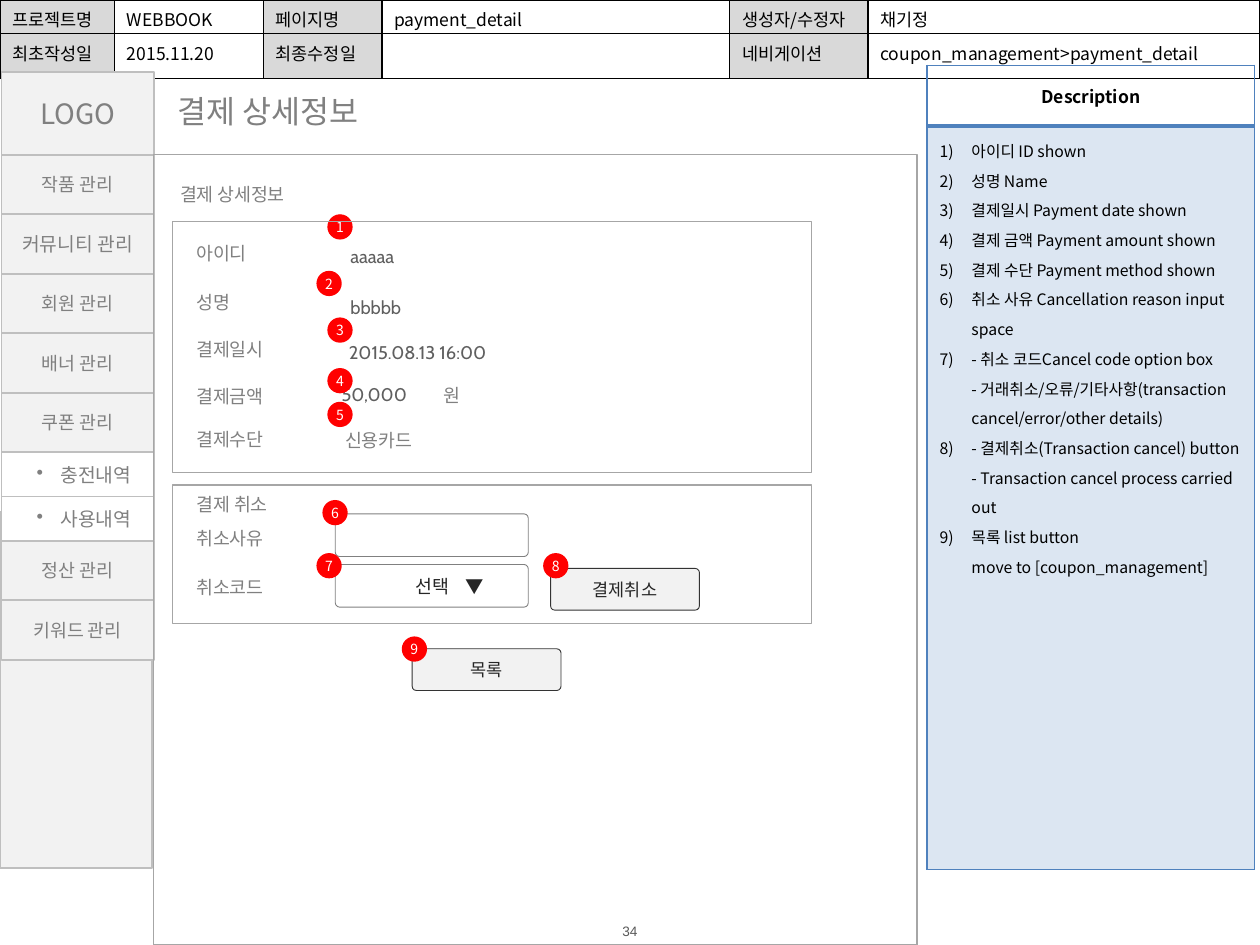
from collections import namedtuple
from lxml import etree
from pptx import Presentation
from pptx.dml.color import RGBColor
from pptx.enum.shapes import MSO_SHAPE
from pptx.enum.text import MSO_ANCHOR, PP_ALIGN
from pptx.oxml.ns import qn
from pptx.util import Cm, Pt

WHITE = RGBColor(0xFF, 0xFF, 0xFF)
BLACK = RGBColor(0x00, 0x00, 0x00)
RED = RGBColor(0xFF, 0x00, 0x00)
BLUE = RGBColor(0x4F, 0x81, 0xBD)
PALE_BLUE = RGBColor(0xDC, 0xE6, 0xF2)
HEADER_GRAY = RGBColor(0xD9, 0xD9, 0xD9)
PALE_GRAY = RGBColor(0xF2, 0xF2, 0xF2)
MENU_LINE = RGBColor(0xBF, 0xBF, 0xBF)
FRAME_LINE = RGBColor(0xA6, 0xA6, 0xA6)
LABEL_GRAY = RGBColor(0x80, 0x80, 0x80)
VALUE_GRAY = RGBColor(0x5F, 0x5F, 0x5F)
PAGE_GRAY = RGBColor(0x59, 0x59, 0x59)
DARK = RGBColor(0x26, 0x26, 0x26)
BUTTON_LINE = RGBColor(0x33, 0x33, 0x33)
SANS = "Noto Sans CJK KR"

Box = namedtuple("Box", "left top width height")

HEADER_ROWS = [
    ["프로젝트명", "WEBBOOK", "페이지명", "payment_detail", "생성자/수정자", "채기정"],
    ["최초작성일", "2015.11.20", "최종수정일", "", "네비게이션", "coupon_management>payment_detail"],
]
DESCRIPTIONS = [
    "아이디 ID shown",
    "성명 Name",
    "결제일시 Payment date shown",
    "결제 금액 Payment amount shown",
    "결제 수단 Payment method shown",
    "취소 사유 Cancellation reason input space",
    "- 취소 코드Cancel code option box\n"
    "- 거래취소/오류/기타사항(transaction cancel/error/other details)",
    "- 결제취소(Transaction cancel) button\n- Transaction cancel process carried out",
    "목록 list button\nmove to [coupon_management]",
]


def within(box, left, top, width, height):
    """Return a box given by its offset inside another box."""
    return Box(box.left + left, box.top + top, width, height)


def write(frame, text, size, color, align=PP_ALIGN.LEFT, font=SANS, bold=False):
    """Put text in a frame and format every run."""
    frame.text = text
    for para in frame.paragraphs:
        para.alignment = align
        for span in para.runs:
            span.font.size = Pt(size)
            span.font.name = font
            span.font.bold = bold
            span.font.color.rgb = color
            etree.SubElement(span.font._element, qn("a:ea"), typeface=SANS)


def add_block(slide, box, kind=MSO_SHAPE.RECTANGLE, fill=None, line=None, weight=1):
    """Add a preset shape with a plain fill and outline."""
    block = slide.shapes.add_shape(kind, *map(Cm, box))
    block.shadow.inherit = False
    if fill is None:
        block.fill.background()
    else:
        block.fill.solid()
        block.fill.fore_color.rgb = fill
    if line is None:
        block.line.fill.background()
    else:
        block.line.color.rgb = line
        block.line.width = Pt(weight)
    block.text_frame.vertical_anchor = MSO_ANCHOR.MIDDLE
    return block


def add_label(slide, box, text, size=10.5, color=LABEL_GRAY, wrap=True, **style):
    """Add a text box centred vertically in its box."""
    frame = slide.shapes.add_textbox(*map(Cm, box)).text_frame
    frame.word_wrap = wrap
    frame.vertical_anchor = MSO_ANCHOR.MIDDLE
    write(frame, text, size, color, **style)
    return frame


def set_margins(frame, left, top, right, bottom):
    """Set the four text margins of a frame or cell."""
    frame.margin_left, frame.margin_top = Cm(left), Cm(top)
    frame.margin_right, frame.margin_bottom = Cm(right), Cm(bottom)


def add_marker(slide, box, number, left, top):
    """Add a numbered red dot."""
    dot = add_block(slide, within(box, left, top, 0.51, 0.51), MSO_SHAPE.OVAL, RED)
    set_margins(dot.text_frame, 0, 0, 0, 0)
    write(dot.text_frame, str(number), 8, WHITE, PP_ALIGN.CENTER)


def add_field(slide, box, fill=WHITE, line=None):
    """Add a slightly rounded field."""
    field = add_block(slide, box, MSO_SHAPE.ROUNDED_RECTANGLE, fill, line, 0.5)
    field.adjustments[0] = 0.1
    return field


def add_button(slide, box, text):
    """Add a gray button."""
    button = add_field(slide, box, PALE_GRAY, BUTTON_LINE)
    write(button.text_frame, text, 10, DARK, PP_ALIGN.CENTER, "Calibri")


def add_bullet(para, indent, tag, **attributes):
    """Give a paragraph a hanging indent and a bullet."""
    properties = para._p.get_or_add_pPr()
    properties.set("marL", str(Cm(indent)))
    properties.set("indent", str(-Cm(indent)))
    etree.SubElement(properties, qn(tag), **attributes)


def style_cell(cell, fill, color, weights):
    """Fill a cell and draw its left, right, top and bottom borders."""
    if fill is None:
        cell.fill.background()
    else:
        cell.fill.solid()
        cell.fill.fore_color.rgb = fill
    properties = cell._tc.get_or_add_tcPr()
    for index, (side, weight) in enumerate(zip("LRTB", weights)):
        border = etree.Element(qn(f"a:ln{side}"), w=str(Pt(weight)))
        paint = etree.SubElement(border, qn("a:solidFill"))
        etree.SubElement(paint, qn("a:srgbClr"), val=str(color))
        properties.insert(index, border)


def add_grid(slide, box, widths, heights):
    """Add an unbanded table with given column widths and row heights."""
    table = slide.shapes.add_table(len(heights), len(widths), *map(Cm, box)).table
    table.first_row = table.horz_banding = False
    for column, width in zip(table.columns, widths):
        column.width = Cm(width)
    for row, height in zip(table.rows, heights):
        row.height = Cm(height)
    return table


def draw_header(slide, box):
    """Draw the project table."""
    table = add_grid(slide, box, [2.31, 3, 2.39, 7.01, 2.79, 7.9], [box.height / 2] * 2)
    for row, texts in enumerate(HEADER_ROWS):
        for column, text in enumerate(texts):
            cell = table.cell(row, column)
            style_cell(cell, None if column % 2 else HEADER_GRAY, BLACK, [1] * 4)
            set_margins(cell, 0.25, 0.13, 0.1, 0)
            write(cell.text_frame, text, 10, BLACK)


def draw_sidebar(slide, box):
    """Draw the logo cell and the menu."""
    add_block(slide, Box(0, 10.31, box.width, 7.19), fill=PALE_GRAY, line=MENU_LINE)
    entries = [("LOGO", 16, 1.67)]
    entries += [(f"{name} 관리", 11 if name == "커뮤니티" else 10.5, 1.2)
                for name in ("작품", "커뮤니티", "회원", "배너", "쿠폰")]
    entries += [("충전내역", 11, 0.89), ("사용내역", 11, 0.89)]
    entries += [("정산 관리", 10.5, 1.2), ("키워드 관리", 10.5, 1.2)]
    top = 0
    for text, size, height in entries:
        nested = text.endswith("내역")
        block = add_block(slide, within(box, 0, top, box.width, height),
                          fill=WHITE if nested else PALE_GRAY, line=MENU_LINE)
        write(block.text_frame, text, size, LABEL_GRAY,
              PP_ALIGN.LEFT if nested else PP_ALIGN.CENTER)
        if nested:
            set_margins(block.text_frame, 0.71, 0.13, 0.25, 0.13)
            add_bullet(block.text_frame.paragraphs[0], 0.48, "a:buChar", char="•")
        top += height


def draw_payment_info(slide, box):
    """Draw the payment details with their markers."""
    labels = [("아이디", 0.64), ("성명", 1.63), ("결제일시", 2.57), ("결제금액", 3.51), ("결제수단", 4.39)]
    for text, middle in labels:
        add_label(slide, within(box, 0.23, middle - 0.38, 2.4, 0.76), text)
    values = [("aaaaa", 3.28, 0.69, 5.05, PP_ALIGN.LEFT),
              ("bbbbb", 3.28, 1.73, 5.05, PP_ALIGN.LEFT),
              ("2015.08.13 16:00", 1.93, 2.64, 4.7, PP_ALIGN.RIGHT),
              ("50,000", 2.54, 3.48, 2.49, PP_ALIGN.RIGHT)]
    for text, left, middle, width, align in values:
        field = add_field(slide, within(box, left, middle - 0.43, width, 0.86))
        set_margins(field.text_frame, 0.28, 0.18, 0.28, 0.18)
        write(field.text_frame, text, 10.5, VALUE_GRAY, align, "Cabin")
    add_label(slide, within(box, 5.21, 3.15, 0.89, 0.71), "원", wrap=False)
    add_label(slide, within(box, 3.23, 4.04, 2.01, 0.71), "신용카드", wrap=False)
    places = [(3.12, -0.15), (2.9, 0.99), (3.12, 1.93), (3.12, 2.95), (3.12, 3.63)]
    for number, place in enumerate(places, 1):
        add_marker(slide, box, number, *place)
    add_block(slide, box, line=FRAME_LINE, weight=0.75)


def draw_cancel_form(slide, box):
    """Draw the cancellation form with its markers."""
    add_block(slide, box, line=FRAME_LINE, weight=0.75)
    for text, middle in [("결제 취소", 0.38), ("취소사유", 1.07), ("취소코드", 2.06)]:
        add_label(slide, within(box, 0.23, middle - 0.38, 2.8, 0.76), text)
    reason, code = [add_field(slide, within(box, 3.28, top, 3.89, 0.86), WHITE, LABEL_GRAY)
                    for top in (0.58, 1.6)]
    set_margins(code.text_frame, 1.6, 0.1, 0.1, 0.1)
    write(code.text_frame, "선택\t▼", 10.5, DARK)
    properties = code.text_frame.paragraphs[0]._p.get_or_add_pPr()
    stops = etree.SubElement(properties, qn("a:tabLst"))
    etree.SubElement(stops, qn("a:tab"), pos=str(Cm(1)), algn="l")
    add_button(slide, within(box, 7.62, 1.68, 3, 0.84), "결제취소")
    for number, place in enumerate([(3.02, 0.3), (2.9, 1.37), (7.47, 1.37)], 6):
        add_marker(slide, box, number, *place)


def draw_content(slide, box):
    """Draw the main page area."""
    add_label(slide, within(box, 0.23, -1.39, 4.6, 1.02), "결제 상세정보", 18, wrap=False)
    add_block(slide, box, line=FRAME_LINE, weight=0.75)
    add_label(slide, within(box, 0.28, 0.41, 4.7, 0.76), "결제 상세정보")
    draw_payment_info(slide, within(box, 0.38, 1.35, 12.88, 5.05))
    draw_cancel_form(slide, within(box, 0.38, 6.66, 12.88, 2.79))
    add_button(slide, within(box, 5.21, 9.96, 3, 0.84), "목록")
    add_marker(slide, box, 9, 5, 9.71)


def draw_description(slide, box):
    """Draw the numbered description table."""
    table = add_grid(slide, box, [box.width], [1.22, box.height - 1.22])
    title, body = table.cell(0, 0), table.cell(1, 0)
    style_cell(title, None, BLUE, [1, 1, 1, 2])
    title.vertical_anchor = MSO_ANCHOR.MIDDLE
    write(title.text_frame, "Description", 10, BLACK, PP_ALIGN.CENTER, bold=True)
    style_cell(body, PALE_BLUE, BLUE, [1, 1, 2, 1])
    body.text_frame.text = "\n".join(" " for _ in DESCRIPTIONS)
    for para, text in zip(body.text_frame.paragraphs, DESCRIPTIONS):
        para.text = text
        para.line_spacing = 1.3
        add_bullet(para, 0.64, "a:buAutoNum", type="arabicParenR")
        for span in para.runs:
            span.font.size = Pt(9)
            span.font.name = SANS
            span.font.color.rgb = BLACK
            etree.SubElement(span.font._element, qn("a:ea"), typeface=SANS)


def main():
    """Build the deck."""
    deck = Presentation()
    deck.slide_width, deck.slide_height = Cm(25.4), Cm(19.05)
    slide = deck.slides.add_slide(deck.slide_layouts[6])
    draw_header(slide, Box(0, 0, 25.4, 1.36))
    draw_sidebar(slide, Box(0.03, 1.45, 3.07, 16.05))
    draw_content(slide, Box(3.1, 3.12, 15.39, 15.93))
    draw_description(slide, Box(18.69, 1.32, 6.6, 16.21))
    page = add_label(slide, Box(11.61, 18.59, 2.18, 0.36), "34", 7.8, PAGE_GRAY,
                     align=PP_ALIGN.CENTER, font="Arial")
    set_margins(page, 0, 0, 0, 0)
    deck.save("out.pptx")


if __name__ == "__main__":
    main()
